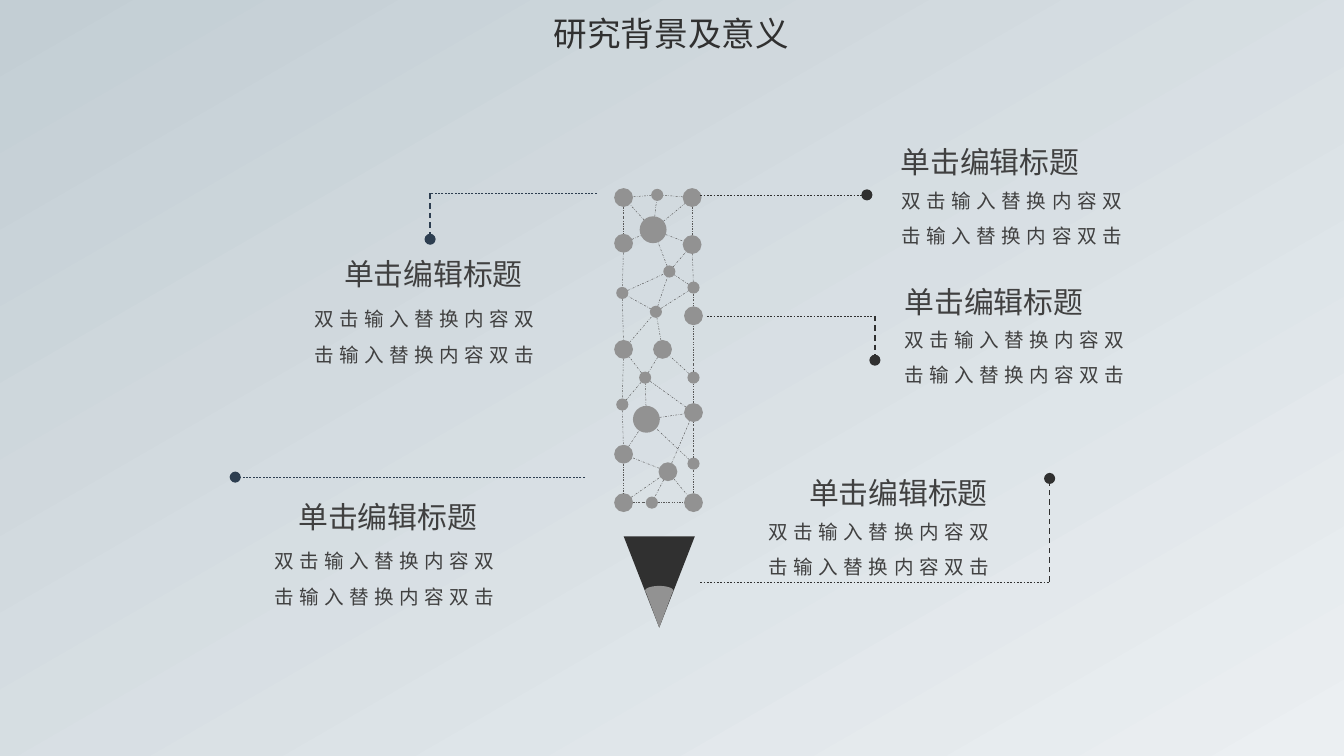
from dataclasses import dataclass
from itertools import pairwise
from math import hypot

from lxml.etree import SubElement
from pptx import Presentation
from pptx.dml.color import RGBColor as Rgb
from pptx.enum.dml import MSO_LINE as Dash
from pptx.enum.shapes import MSO_CONNECTOR as Conn, MSO_SHAPE as Shape
from pptx.enum.text import MSO_AUTO_SIZE as Fit, PP_ALIGN as Align
from pptx.oxml.ns import qn
from pptx.util import Inches, Pt

Point = tuple[float, float]


@dataclass(frozen=True)
class Theme:
    font: str = "Noto Sans CJK SC"
    top: str = "C3CED4"
    base: str = "EBEFF2"
    dark: str = "303030"
    navy: str = "2D3E50"
    gray: str = "929292"
    mesh: str = "595959"
    text: str = "404040"
    title: float = 18
    head: float = 16
    body: float = 10.5
    thin: float = 0.25
    thick: float = 0.75


@dataclass(frozen=True)
class Node:
    x: float
    y: float
    size: float


@dataclass(frozen=True)
class Note:
    color: str
    route: list[Point]  # the dot sits on the last point
    head: Point
    body: Point
    width: float


T = Theme()
S, M, L = 0.09, 0.14, 0.2

NODES = [Node(*n) for n in (
    (4.64, 3.74, M), (4.85, 3.74, S), (5.16, 3.74, M), (4.64, 3.38, M),
    (4.63, 3.01, S), (4.64, 2.6, M), (4.64, 1.47, M), (4.64, 1.81, M),
    (4.63, 2.18, S), (5.15, 1.47, M), (4.89, 1.45, S), (5.16, 2.14, S),
    (5.15, 1.82, M), (5.16, 2.35, M), (5.16, 2.81, S), (5.16, 3.07, M),
    (5.16, 3.45, S), (4.88, 2.32, S), (4.93, 2.6, M), (4.81, 3.12, L),
    (4.86, 1.71, L), (4.98, 2.02, S), (4.97, 3.51, M), (4.8, 2.81, S),
)]

# Outline of the pencil, then the links inside it
RING = [0, 1, 2, 16, 15, 14, 13, 11, 12, 9, 10, 6, 7, 8, 5, 4, 3, 0]
LINKS = [
    (0, 22), (22, 2), (22, 1), (22, 3), (3, 19), (19, 15), (16, 19),
    (22, 15), (15, 23), (4, 23), (23, 18), (14, 18), (19, 23), (23, 5),
    (5, 17), (17, 8), (8, 21), (17, 21), (18, 17), (17, 11), (11, 21),
    (21, 12), (21, 20), (7, 20), (20, 6), (20, 10), (20, 9), (20, 12),
]

NOTES = [
    Note(T.dark, [(5.21, 4.33), (7.81, 4.33), (7.81, 3.56)],
         (6.01, 3.53), (5.72, 3.78), 1.72),
    Note(T.dark, [(5.26, 2.35), (6.51, 2.35), (6.51, 2.68)],
         (6.72, 2.11), (6.73, 2.35), 1.74),
    Note(T.dark, [(5.21, 1.45), (6.45, 1.45)],
         (6.69, 1.07), (6.71, 1.32), 1.74),
    Note(T.navy, [(4.44, 1.44), (3.2, 1.44), (3.2, 1.78)],
         (2.55, 1.9), (2.34, 2.2), 1.77),
    Note(T.navy, [(4.35, 3.55), (1.75, 3.55)],
         (2.21, 3.71), (2.04, 4), 1.8),
]


def add_form(shapes, kind, x: float, y: float, w: float, h: float,
             color: str):
    form = shapes.add_shape(kind, Inches(x), Inches(y), Inches(w), Inches(h))
    form.shadow.inherit = False
    form.fill.solid()
    form.fill.fore_color.rgb = Rgb.from_string(color)
    form.line.fill.background()
    return form


def add_line(shapes, start: Point, end: Point, color: str, width: float,
             dash=Dash.DASH, dot: bool = False) -> None:
    ends = [Inches(v) for v in (*start, *end)]
    link = shapes.add_connector(Conn.STRAIGHT, *ends)
    link.line.color.rgb = Rgb.from_string(color)
    link.line.width = Pt(width)
    link.line.dash_style = dash
    props = link._element.spPr
    if dot:
        SubElement(props.find(qn("a:ln")), qn("a:tailEnd"), type="oval")
    SubElement(props, qn("a:effectLst"))


def add_text(shapes, text: str, at: Point, w: float, h: float, size: float,
             color: str = T.text, align=Align.CENTER, wrap: bool = True,
             inset: Point = (0, 0), lead: float = 1, gap: float = 0) -> None:
    x, y = at
    box = shapes.add_textbox(Inches(x), Inches(y), Inches(w), Inches(h))
    frame = box.text_frame
    frame.word_wrap = wrap
    frame.auto_size = Fit.SHAPE_TO_FIT_TEXT
    frame.margin_left = frame.margin_right = Inches(inset[0])
    frame.margin_top = frame.margin_bottom = Inches(inset[1])
    para = frame.paragraphs[0]
    para.alignment = align
    para.line_spacing = lead
    run = para.add_run()
    run.text = text
    font = para.font
    font.name, font.size = T.font, Pt(size)
    font.color.rgb = Rgb.from_string(color)
    # East Asian font and letter spacing
    props = run._r.get_or_add_rPr()
    SubElement(props, qn("a:ea"), typeface=T.font)
    if gap:
        props.set("spc", str(round(gap * 100)))


def add_link(shapes, a: Node, b: Node) -> None:
    """Join the rims of two nodes."""
    dx, dy = b.x - a.x, b.y - a.y
    span = 2 * hypot(dx, dy)
    i, j = a.size / span, b.size / span
    add_line(shapes, (a.x + dx * i, a.y + dy * i),
             (b.x - dx * j, b.y - dy * j), T.mesh, T.thin, Dash.DASH_DOT)


def add_pencil(shapes) -> None:
    # Tip
    for box, color in (((4.64, 3.99, 0.53, 0.68), T.dark),
                       ((4.8, 4.39, 0.21, 0.28), T.gray)):
        add_form(shapes, Shape.ISOSCELES_TRIANGLE, *box, color).rotation = 180
    # Mesh
    for n in NODES:
        add_form(shapes, Shape.OVAL, n.x - n.size / 2, n.y - n.size / 2,
                 n.size, n.size, T.gray)
    for a, b in [*pairwise(RING), *LINKS]:
        add_link(shapes, NODES[a], NODES[b])
    # Rounded edge of the lead
    add_form(shapes, Shape.OVAL, 4.8, 4.36, 0.21, 0.07, T.gray)


def add_note(shapes, note: Note) -> None:
    legs = list(pairwise(note.route))
    for i, (start, end) in enumerate(legs):
        add_line(shapes, start, end, note.color, T.thick if i else T.thin,
                 dot=i == len(legs) - 1)
    add_text(shapes, "单击编辑标题", note.head, 1.35, 0.27, T.head, wrap=False)
    add_text(shapes, "双击输入替换内容双击输入替换内容双击", note.body,
             note.width, 0.51, T.body, align=Align.LEFT, lead=1.5, gap=3)


def main() -> None:
    deck = Presentation()
    deck.slide_width = Inches(10)
    deck.slide_height = Inches(10 * 9 / 16)
    slide = deck.slides.add_slide(deck.slide_layouts[6])

    # Background
    fill = slide.background.fill
    fill.gradient()
    fill.gradient_angle = 300
    for stop, color in zip(fill.gradient_stops, (T.top, T.base)):
        stop.color.rgb = Rgb.from_string(color)

    # Pencil, notes and title
    add_pencil(slide.shapes.add_group_shape().shapes)
    for note in NOTES:
        add_note(slide.shapes.add_group_shape().shapes, note)
    add_text(slide.shapes, "研究背景及意义", (3.69, 0.06), 2.61, 0.38, T.title,
             T.dark, inset=(0.07, 0.04))
    deck.save("out.pptx")


if __name__ == "__main__":
    main()
